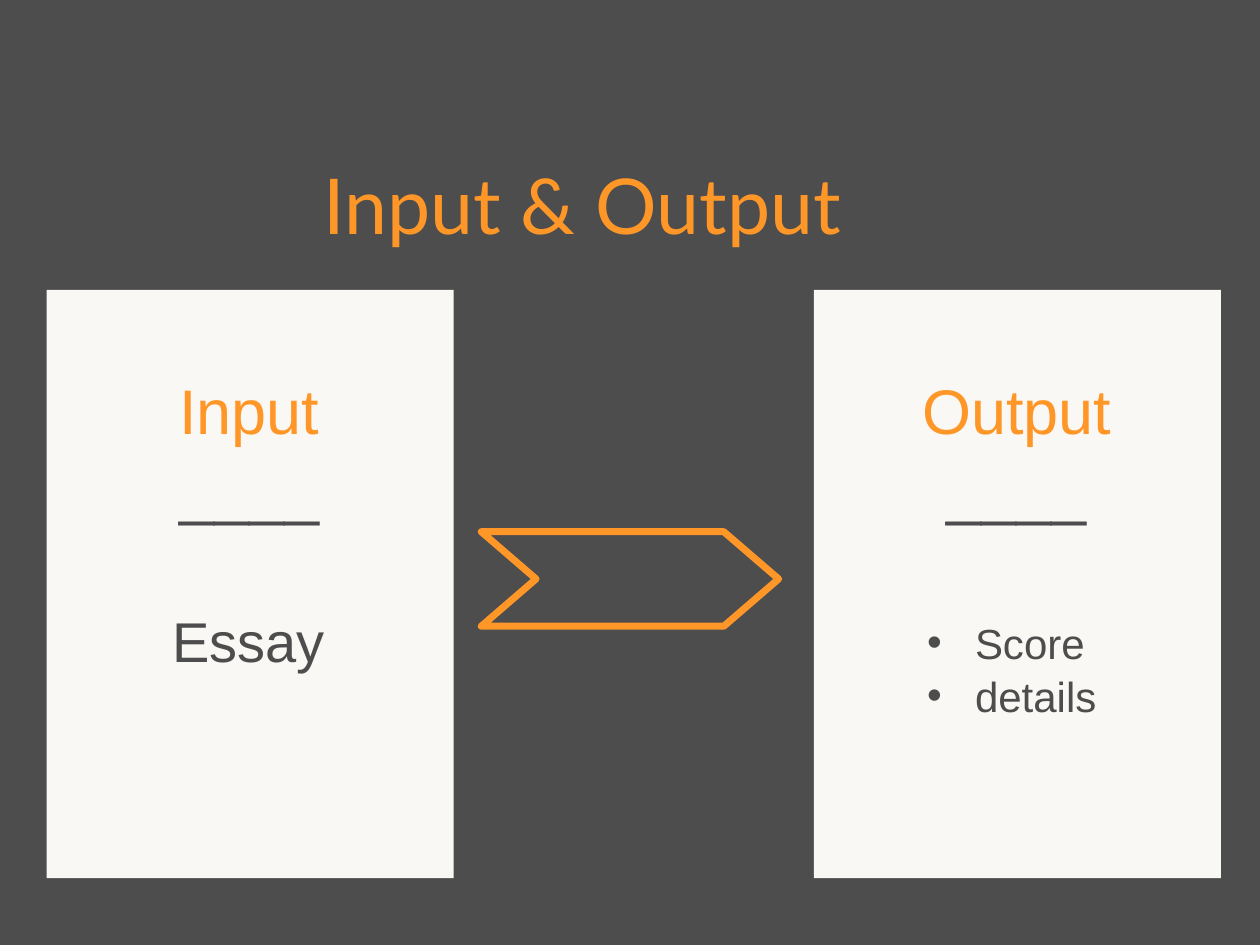
import pptx
import pptx.util
import pptx.dml.color
import pptx.enum.shapes
import pptx.enum.text
import lxml.etree

Inches = pptx.util.Inches
Pt = pptx.util.Pt
RGBColor = pptx.dml.color.RGBColor
SHAPE = pptx.enum.shapes.MSO_SHAPE
ALIGN = pptx.enum.text.PP_ALIGN
ANCHOR = pptx.enum.text.MSO_ANCHOR
FIT = pptx.enum.text.MSO_AUTO_SIZE

GRAY = RGBColor(0x4D, 0x4D, 0x4D)
CREAM = RGBColor(0xFA, 0xF8, 0xF5)
ORANGE = RGBColor(0xFF, 0x97, 0x28)
NS = "{http://schemas.openxmlformats.org/drawingml/2006/main}"


def add_box(shapes, left, top, width, height, wrap=True):
    box = shapes.add_textbox(Inches(left), Inches(top), Inches(width), Inches(height))
    box.text_frame.word_wrap = wrap
    return box.text_frame


def add_line(frame, text, size, color, font="Arial", align=ALIGN.LEFT, space=1.05):
    first = frame.paragraphs[0]
    para = frame.add_paragraph() if first.runs else first
    para.alignment = align
    para.line_spacing = space
    run = para.add_run()
    run.text = text
    run.font.size = Pt(size)
    run.font.name = font
    run.font.color.rgb = color
    return para


deck = pptx.Presentation()
deck.slide_width = Inches(10)
deck.slide_height = Inches(7.5)
slide = deck.slides.add_slide(deck.slide_layouts[6])
slide.background.fill.solid()
slide.background.fill.fore_color.rgb = GRAY

cards = []
for left, name in ((0.37, "Input"), (6.46, "Output")):
    group = slide.shapes.add_group_shape()
    card = group.shapes.add_shape(
        SHAPE.RECTANGLE, Inches(left), Inches(2.3), Inches(3.23), Inches(4.67))
    card.shadow.inherit = False
    card.fill.solid()
    card.fill.fore_color.rgb = CREAM
    card.line.fill.background()
    head = add_box(group.shapes, left + 0.35, 2.87, 2.52, 1.31)
    head.auto_size = FIT.SHAPE_TO_FIT_TEXT
    add_line(head, name, 36, ORANGE, align=ALIGN.CENTER)
    add_line(head, "____", 36, GRAY, align=ALIGN.CENTER)
    cards.append(group.shapes)

essay = add_box(cards[0], 1.27, 4.74, 1.42, 0.64, wrap=False)
essay.auto_size = FIT.SHAPE_TO_FIT_TEXT
add_line(essay, "Essay", 32, GRAY)

items = add_box(cards[1], 7.26, 4.83, 1.59, 0.91)
items.auto_size = FIT.SHAPE_TO_FIT_TEXT
for text in ("Score", "details"):
    props = add_line(items, text, 24, GRAY)._p.get_or_add_pPr()
    props.set("marL", str(Inches(0.38)))
    props.set("indent", str(-Inches(0.38)))
    lxml.etree.SubElement(props, NS + "buFont", typeface="Arial")
    lxml.etree.SubElement(props, NS + "buChar", char="•")

arrow = slide.shapes.add_shape(
    SHAPE.CHEVRON, Inches(3.82), Inches(4.22), Inches(2.36), Inches(0.75))
arrow.adjustments[0] = 0.58
arrow.shadow.inherit = False
arrow.fill.background()
arrow.line.color.rgb = ORANGE
arrow.line.width = Pt(4)
lxml.etree.SubElement(arrow.line._get_or_add_ln(), NS + "round")

title = add_box(slide.shapes, 2.47, 1.23, 5.06, 0.78)
title.vertical_anchor = ANCHOR.MIDDLE
add_line(title, "Input & Output", 44, ORANGE, font="Lato", space=1.0)

deck.save("out.pptx")
